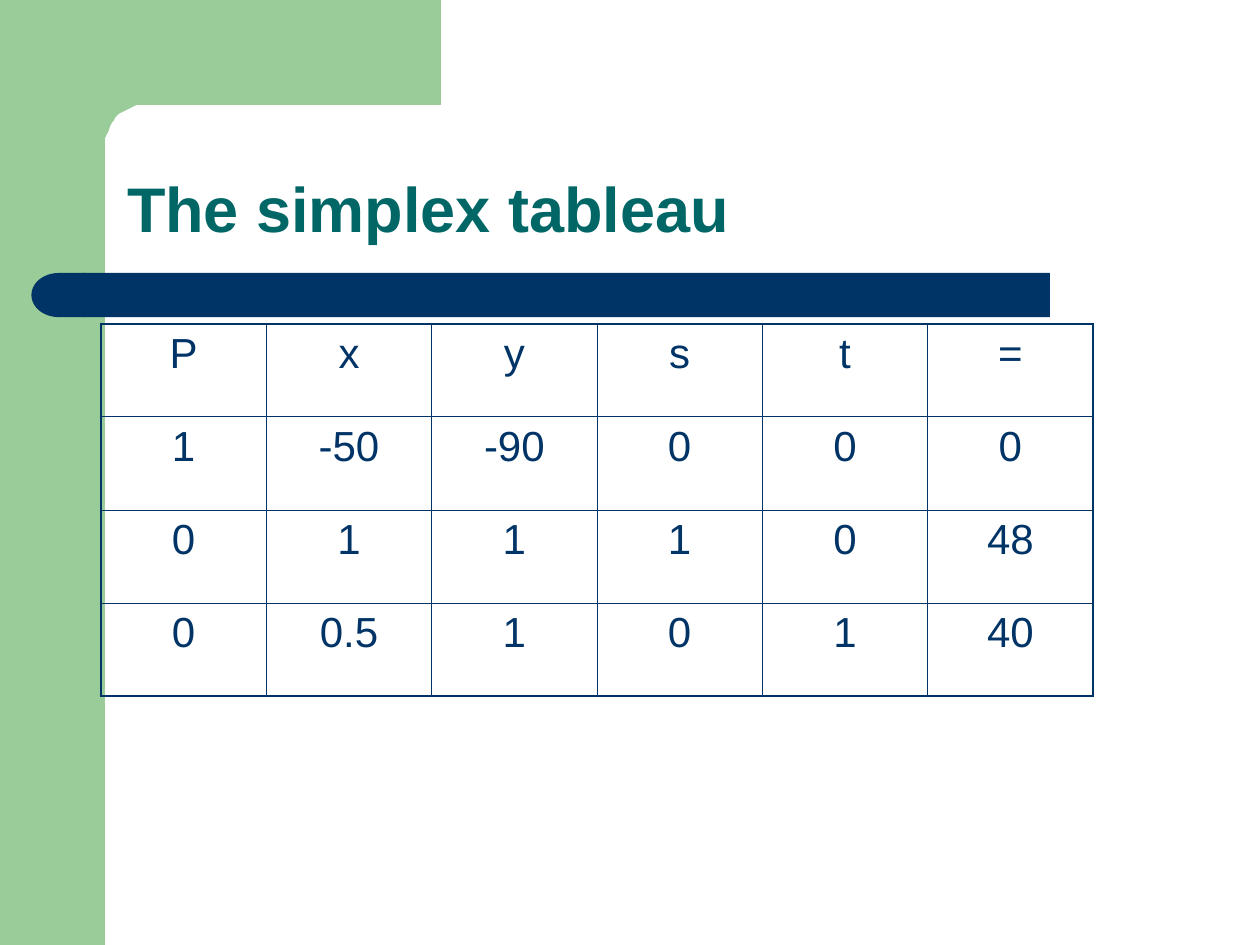
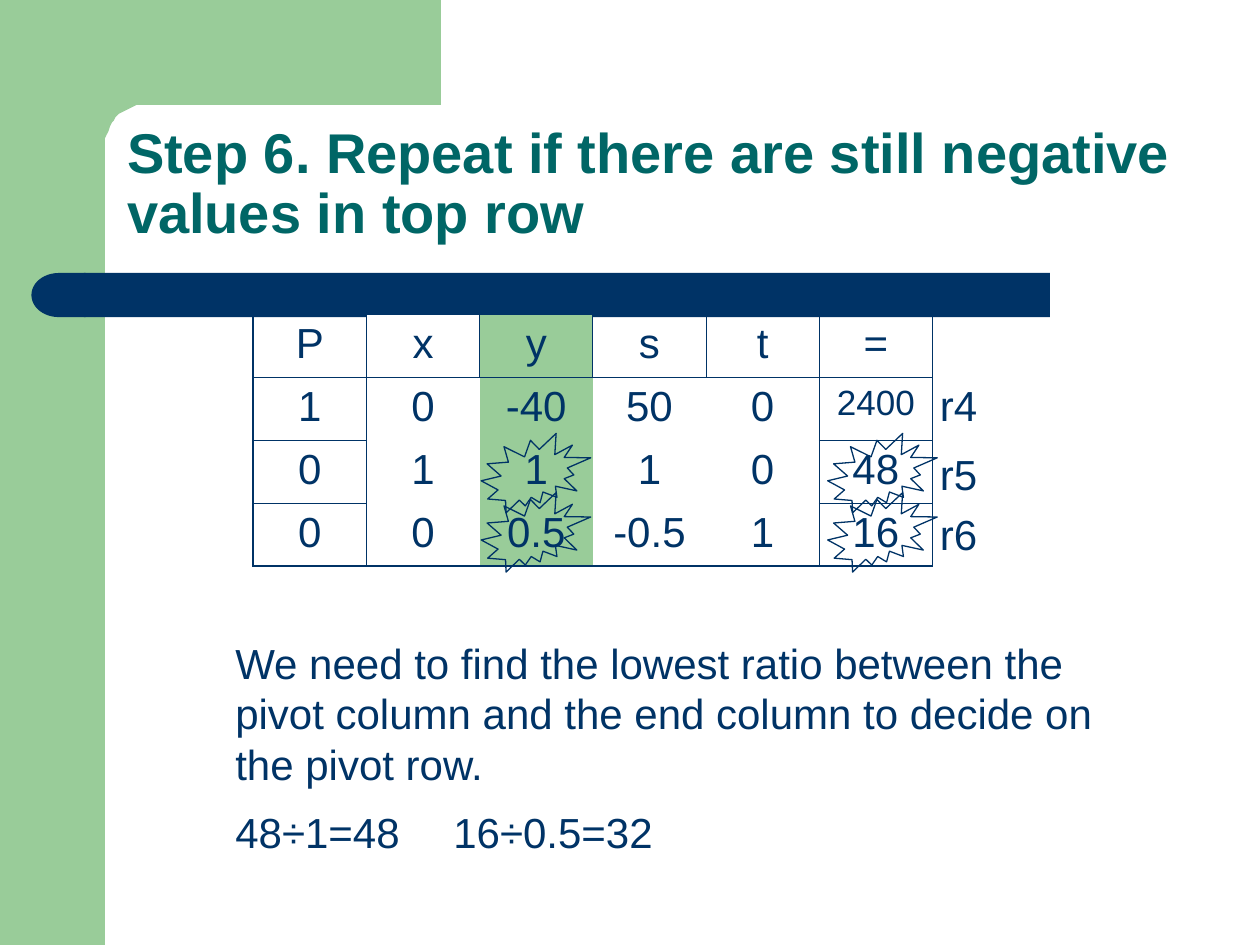
from dataclasses import dataclass
from math import cos, pi, sin

from lxml.etree import SubElement
from pptx import Presentation
from pptx.dml.color import RGBColor as RGB
from pptx.enum.shapes import MSO_SHAPE as SHAPE
from pptx.enum.text import MSO_ANCHOR as ANCHOR, MSO_AUTO_SIZE as AUTOSIZE, PP_ALIGN as ALIGN
from pptx.oxml.ns import qn
from pptx.util import Pt

# Content: all positions and sizes in points
TABLEAU = dict(
    title="The simplex tableau",
    rows=["P x y s t =".split(),
          "1 -50 -90 0 0 0".split(),
          "0 1 1 1 0 48".split(),
          "0 0.5 1 0 1 40".split()],
    left=57.7, top=185, col_w=94.5, row_h=53.2)

STEP_6 = dict(
    title="Step 6. Repeat if there are still negative values in top row",
    rows=["P x y s t =".split(),
          "1 0 -40 50 0 2400".split(),
          "0 1 1 1 0 48".split(),
          "0 0 0.5 -0.5 1 16".split()],
    left=144.7, top=179.5, col_w=64.7, row_h=36)
PIVOT_COL = 2
WHITE_COL = 1
OPEN_CELLS = {(row, col) for row in range(1, 4) for col in range(1, 5)}

NOTES = [  # text, left, top, width, height
    ("We need to find the lowest ratio between the pivot column and the end "
     "column to decide on the pivot row.", 127.4, 360.7, 533, 93.6),
    ("48÷1=48", 127.4, 457.2, 209.5, 36),
    ("16÷0.5=32", 252, 457.2, 209.5, 36),
    ("r4", 530, 213.1, 51, 36),
    ("r5", 530, 252.7, 51, 36),
    ("r6", 530, 287.3, 51, 36),
]
SEAL_LEFTS = (275, 473)
SEAL_TOPS = (247.7, 281.5)
SEAL_SIZE = (62.6, 45.4)


@dataclass(frozen=True)
class Theme:
    font: str = "Arial"
    navy: RGB = RGB(0x00, 0x33, 0x66)
    teal: RGB = RGB(0x00, 0x66, 0x66)
    green: RGB = RGB(0x99, 0xCC, 0x99)
    white: RGB = RGB(0xFF, 0xFF, 0xFF)
    title: int = 36
    long_title: int = 32
    body: int = 24
    small: int = 20
    outer: float = 1.08
    inner: float = 0.45
    seal: float = 0.75


T = Theme()


def pts(*values):
    return [Pt(v) for v in values]


def style(p, size, color, bold=False):
    for r in p.runs:
        r.font.name, r.font.size, r.font.bold = T.font, Pt(size), bold
        r.font.color.rgb = color


def paint(sp, color):
    sp.shadow.inherit = False
    sp.fill.solid()
    sp.fill.fore_color.rgb = color
    sp.line.fill.background()
    return sp


def add_band(slide, kind, box, color):
    return paint(slide.shapes.add_shape(kind, *pts(*box)), color)


def add_text(slide, text, box, size, color, bold=False):
    tf = slide.shapes.add_textbox(*pts(*box)).text_frame
    tf.word_wrap = True
    tf.text = text
    style(tf.paragraphs[0], size, color, bold)
    return tf


# Shared frame: green corner, navy bar and title
def add_frame(slide, title, size):
    add_band(slide, SHAPE.RECTANGLE, (0, 0, 60, 540), T.green)
    steps = 16
    curve = [(82 - 22 * sin(a), 83.5 - 23.5 * cos(a))
             for a in (pi / 2 * i / steps for i in range(steps + 1))]
    outline = [(252, 60), *curve, (60, 92), (36, 92), (36, 0)]
    corner = slide.shapes.build_freeform(252, 0, scale=Pt(1))
    corner.add_line_segments(outline, close=True)
    paint(corner.convert_to_shape(), T.green)

    bar = add_band(slide, SHAPE.ROUNDED_RECTANGLE, (48, 156, 552, 25.2), T.navy)
    bar.adjustments[0] = 0
    cap = add_band(slide, SHAPE.FLOWCHART_DELAY, (18, 156, 31, 25.2), T.navy)
    cap.element.spPr.get_or_add_xfrm().set("flipH", "1")

    tf = add_text(slide, title, (65.5, 65.5, 612.7, 78.5), size, T.teal, bold=True)
    tf.vertical_anchor = ANCHOR.BOTTOM
    tf.paragraphs[0].line_spacing = 0.9


# Cell borders: heavy outside, thin inside, none between two open cells
def set_borders(cell, row, col, n_rows, n_cols, open_cells):
    tc_pr = cell._tc.get_or_add_tcPr()
    sides = (("a:lnL", 0, -1), ("a:lnR", 0, 1), ("a:lnT", -1, 0), ("a:lnB", 1, 0))
    for i, (tag, d_row, d_col) in enumerate(sides):
        near = (row + d_row, col + d_col)
        inside = 0 <= near[0] < n_rows and 0 <= near[1] < n_cols
        ln = SubElement(tc_pr, qn(tag), w=str(Pt(T.inner if inside else T.outer)))
        tc_pr.insert(i, ln)
        if {(row, col), near} <= open_cells:
            SubElement(ln, qn("a:noFill"))
        else:
            fill = SubElement(ln, qn("a:solidFill"))
            SubElement(fill, qn("a:srgbClr"), val=str(T.navy))


def add_tableau(slide, rows, left, top, col_w, row_h, open_cells=frozenset(), fill_of=None):
    n_rows, n_cols = len(rows), len(rows[0])
    box = pts(left, top, col_w * n_cols, row_h * n_rows)
    table = slide.shapes.add_table(n_rows, n_cols, *box).table
    table.first_row = table.horz_banding = False
    for column in table.columns:
        column.width = Pt(col_w)
    for i, values in enumerate(rows):
        table.rows[i].height = Pt(row_h)
        for j, value in enumerate(values):
            cell = table.cell(i, j)
            color = fill_of(i, j) if fill_of else None
            if color is None:
                cell.fill.background()
            else:
                cell.fill.solid()
                cell.fill.fore_color.rgb = color
            set_borders(cell, i, j, n_rows, n_cols, open_cells)
            p = cell.text_frame.paragraphs[0]
            p.text = value
            p.alignment = ALIGN.CENTER
            style(p, T.small if len(value) == 4 and value.isdigit() else T.body, T.navy)


def step_fill(row, col):
    if col == PIVOT_COL:
        return T.green
    return T.white if col == WHITE_COL or row >= 2 else None


def add_seal(slide, left, top):
    sp = slide.shapes.add_shape(SHAPE.EXPLOSION2, *pts(left, top, *SEAL_SIZE))
    sp.shadow.inherit = False
    sp.fill.background()
    sp.line.color.rgb = T.navy
    sp.line.width = Pt(T.seal)


def build_tableau(slide, title, **grid):
    add_frame(slide, title, T.title)
    add_tableau(slide, **grid)


def build_step_6(slide, title, **grid):
    add_frame(slide, title, T.long_title)
    add_tableau(slide, **grid, open_cells=OPEN_CELLS, fill_of=step_fill)
    for text, *box in NOTES:
        tf = add_text(slide, text, box, T.body, T.navy)
        tf.auto_size = AUTOSIZE.SHAPE_TO_FIT_TEXT
    for left in SEAL_LEFTS:
        for top in SEAL_TOPS:
            add_seal(slide, left, top)


def main():
    prs = Presentation()
    prs.slide_width, prs.slide_height = pts(720, 540)
    for build, content in ((build_tableau, TABLEAU), (build_step_6, STEP_6)):
        build(prs.slides.add_slide(prs.slide_layouts[6]), **content)
    prs.save("out.pptx")


if __name__ == "__main__":
    main()
